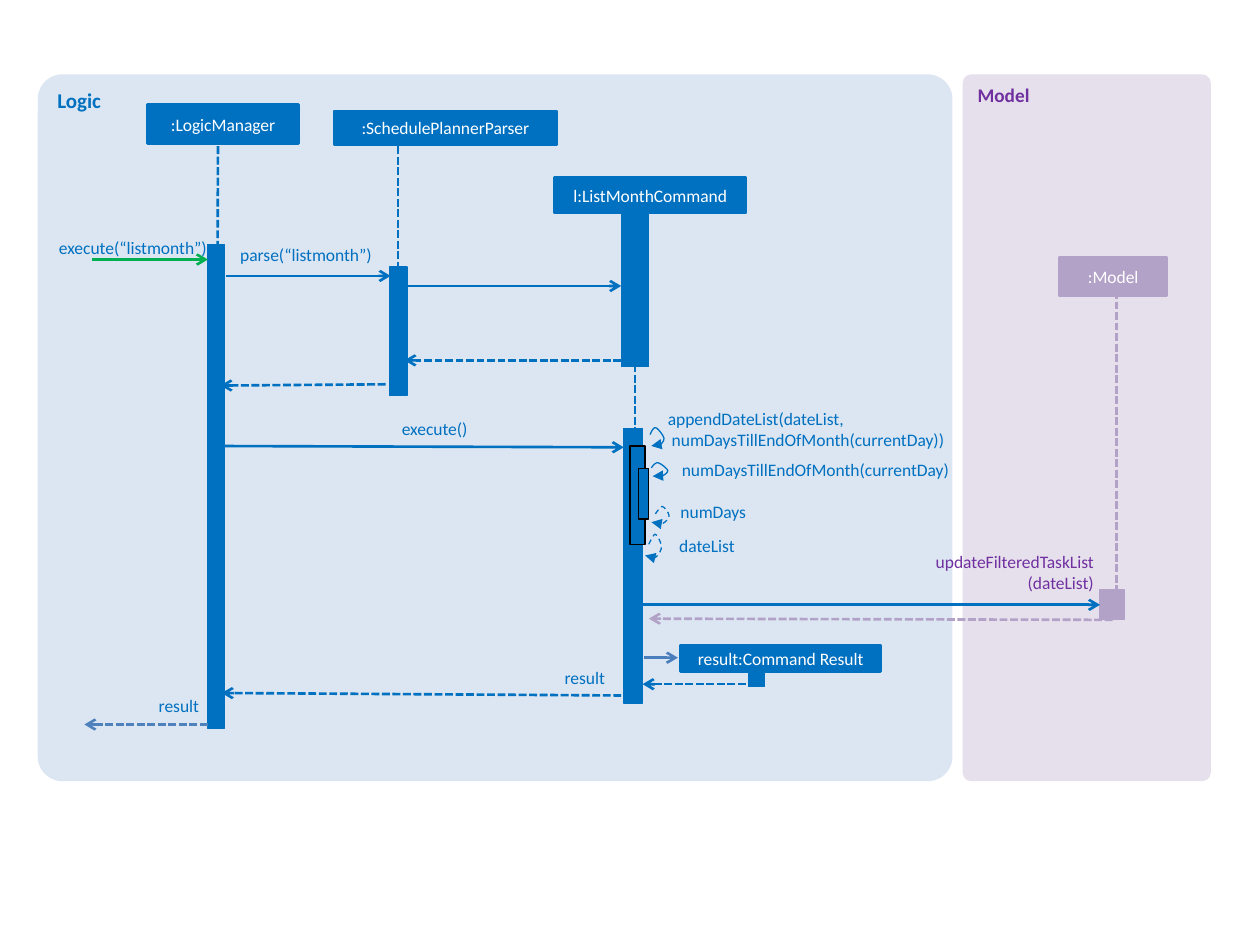
"""Builds the sequence diagram of the list-month command on a grid of 100 cells to the inch."""
import dataclasses
import typing

import lxml.etree
import pptx
import pptx.dml.color
import pptx.enum.dml
import pptx.enum.shapes
import pptx.enum.text
import pptx.oxml.ns
import pptx.util

ALIGN = pptx.enum.text.PP_ALIGN
ANCHOR = pptx.enum.text.MSO_ANCHOR
DASH = pptx.enum.dml.MSO_LINE
SHAPE = pptx.enum.shapes.MSO_SHAPE
Point = typing.Tuple[float, float]


@dataclasses.dataclass(frozen=True)
class Theme:
    font: str = "Calibri"
    blue: str = "0070C0"
    steel: str = "4F81BD"
    create: str = "4B7EBC"
    green: str = "00B050"
    purple: str = "7030A0"
    lilac: str = "B3A2C7"
    logic: str = "DCE6F2"
    model: str = "E6E0EC"
    white: str = "FFFFFF"
    black: str = "000000"
    text: float = 10
    model_title: float = 11
    logic_title: float = 12
    thin: float = 0.75
    thick: float = 1.5


THEME = Theme()


class Cell(typing.NamedTuple):
    column: float
    row: float
    columns: float
    rows: float


class Panel(typing.NamedTuple):
    title: str
    cell: Cell
    fill: str
    color: str
    size: float


class Head(typing.NamedTuple):
    name: str
    cell: Cell
    color: str = THEME.blue


class Bar(typing.NamedTuple):
    cell: Cell
    color: str = THEME.blue
    outline: str = THEME.blue


class Message(typing.NamedTuple):
    start: Point
    end: Point
    color: str = THEME.blue
    reply: bool = False


class Label(typing.NamedTuple):
    lines: typing.Tuple[str, ...]
    cell: Cell
    color: str = THEME.blue
    align: typing.Any = ALIGN.RIGHT


class Loop(typing.NamedTuple):
    cell: Cell
    reply: bool = False


PANELS = [
    Panel("Model", Cell(764, 59, 197, 561), THEME.model, THEME.purple, THEME.model_title),
    Panel("Logic", Cell(30, 59, 726, 561), THEME.logic, THEME.blue, THEME.logic_title),
]
LIFELINES = [
    Message((173, 116), (172, 418)),
    Message((316, 116), (316, 269)),
    Message((504, 289), (504, 528)),
    Message((886, 231), (886, 471), THEME.lilac),
]
HEADS = [
    Head(":LogicManager", Cell(117, 83, 120, 31)),
    Head(":SchedulePlannerParser", Cell(265, 88, 177, 27)),
    Head("l:ListMonthCommand", Cell(440, 141, 152, 28)),
    Head(":Model", Cell(841, 204, 85, 31), THEME.lilac),
    Head("result:Command Result", Cell(540, 512, 159, 21)),
]
BARS = [
    Bar(Cell(165, 194, 13, 384)),
    Bar(Cell(309, 212, 14, 102)),
    Bar(Cell(493, 168, 22, 123)),
    Bar(Cell(495, 340, 15, 218)),
    Bar(Cell(873, 468, 19, 24), THEME.lilac, THEME.lilac),
    Bar(Cell(594, 530, 13, 15)),
    Bar(Cell(500, 354, 12, 78), outline=THEME.black),
    Bar(Cell(507, 372, 8, 40), outline=THEME.black),
]
MESSAGES = [
    Message((73, 206), (165, 206), THEME.green),
    Message((179, 219), (310, 219)),
    Message((315, 227), (493, 227)),
    Message((493, 286), (321, 286), reply=True),
    Message((306, 305), (175, 306), reply=True),
    Message((172, 354), (495, 355)),
    Message((508, 480), (873, 480)),
    Message((883, 492), (515, 491), THEME.lilac, reply=True),
    Message((511, 522), (538, 522), THEME.create),
    Message((592, 543), (510, 543), reply=True),
    Message((493, 552), (176, 550), reply=True),
    Message((165, 575), (67, 575), THEME.steel, reply=True),
]
LABELS = [
    Label(("execute(“listmonth”)",), Cell(25, 188, 139, 17)),
    Label(("parse(“listmonth”)",), Cell(178, 194, 117, 17)),
    Label(("execute()",), Cell(301, 332, 70, 14)),
    Label(("appendDateList(dateList,", " numDaysTillEndOfMonth(currentDay))"),
          Cell(530, 324, 321, 37), align=ALIGN.LEFT),
    Label(("numDaysTillEndOfMonth(currentDay)",), Cell(537, 364, 216, 17)),
    Label(("numDays",), Cell(537, 398, 55, 20)),
    Label(("dateList",), Cell(534, 425, 49, 17)),
    Label(("updateFilteredTaskList", "(dateList)"), Cell(733, 437, 135, 34), THEME.purple),
    Label(("result",), Cell(429, 529, 51, 14)),
    Label(("result",), Cell(95, 552, 63, 14)),
]
LOOPS = [
    Loop(Cell(516, 339, 11, 15)),
    Loop(Cell(517, 367, 13, 11)),
    Loop(Cell(517, 402, 14, 14), reply=True),
    Loop(Cell(512, 424, 13, 19), reply=True),
]
CALL_CURVE = [(0, .4), (.1, .2), (.27, 0), (.4, .03), (.55, .05), (1, .47), (1, .6),
              (1, .8), (.73, .93), (.64, 1), (.45, 1.1), (.1, .97), (.08, 1)]
REPLY_CURVE = [(.23, .42), (.38, .2), (.54, 0), (.62, 0), (.77, .05), (1, .37), (1, .53),
               (1, .68), (.77, .95), (.54, 1), (.38, 1.05), (.08, .79), (0, .89)]


def grid(cells: float) -> int:
    """Turn grid cells into a length."""
    return pptx.util.Inches(cells / 100)


def place(cell: Cell) -> typing.List[int]:
    """Give the left, top, width and height of a cell."""
    return [grid(value) for value in cell]


def rgb(color: str) -> pptx.dml.color.RGBColor:
    """Read a colour."""
    return pptx.dml.color.RGBColor.from_string(color)


def apply(target: typing.Any, values: typing.Dict[str, typing.Any]) -> None:
    """Set each named attribute on the target."""
    for name, value in values.items():
        setattr(target, name, value)


def write(box, lines: typing.Sequence[str], color: str, size: float = THEME.text,
          bold: bool = False, align=ALIGN.LEFT, **frame) -> None:
    """Fill a box with one paragraph for each line."""
    apply(box.text_frame, {"word_wrap": True, **frame})
    for index, line in enumerate(lines):
        para = box.text_frame.add_paragraph() if index else box.text_frame.paragraphs[0]
        para.alignment = align
        span = para.add_run()
        span.text = line
        apply(span.font, {"name": THEME.font, "size": pptx.util.Pt(size), "bold": bold})
        span.font.color.rgb = rgb(color)


def stroke(shape, color: str, width: float, dash=None, arrow: str = "") -> None:
    """Draw the outline of a shape, with an arrowhead at its end if one is named."""
    shape.line.color.rgb = rgb(color)
    apply(shape.line, {"width": pptx.util.Pt(width), "dash_style": dash})
    if arrow:
        outline = shape.element.spPr.find(pptx.oxml.ns.qn("a:ln"))
        lxml.etree.SubElement(outline, pptx.oxml.ns.qn("a:tailEnd"), type=arrow)


def add_block(page, cell: Cell, fill: str, kind=SHAPE.RECTANGLE):
    """Add a filled shape without outline or shadow."""
    block = page.shapes.add_shape(kind, *place(cell))
    block.shadow.inherit = False
    block.fill.solid()
    block.fill.fore_color.rgb = rgb(fill)
    block.line.fill.background()
    return block


def add_panel(page, panel: Panel) -> None:
    """Add a component panel with its title."""
    block = add_block(page, panel.cell, panel.fill, SHAPE.ROUNDED_RECTANGLE)
    block.adjustments[0] = 0.035
    write(block, [panel.title], panel.color, panel.size, True, vertical_anchor=ANCHOR.TOP)


def add_head(page, head: Head) -> None:
    """Add the named box of a participant."""
    block = add_block(page, head.cell, head.color)
    stroke(block, head.color, THEME.thick)
    write(block, [head.name], THEME.white, align=ALIGN.CENTER, vertical_anchor=ANCHOR.MIDDLE)


def add_bar(page, bar: Bar) -> None:
    """Add an activation bar."""
    stroke(add_block(page, bar.cell, bar.color), bar.outline, THEME.thin)


def add_line(page, message: Message, dashed: bool, arrow: str = "") -> None:
    """Add a straight line from sender to receiver."""
    ends = [grid(value) for value in message.start + message.end]
    line = page.shapes.add_connector(pptx.enum.shapes.MSO_CONNECTOR.STRAIGHT, *ends)
    stroke(line, message.color, THEME.thick, DASH.SQUARE_DOT if dashed else None, arrow)
    lxml.etree.SubElement(line.element.spPr, pptx.oxml.ns.qn("a:effectLst"))


def add_label(page, label: Label) -> None:
    """Add a text label without margins."""
    margins = {f"margin_{side}": 0 for side in ("left", "top", "right", "bottom")}
    write(page.shapes.add_textbox(*place(label.cell)), label.lines, label.color,
          align=label.align, auto_size=pptx.enum.text.MSO_AUTO_SIZE.SHAPE_TO_FIT_TEXT, **margins)


def bezier(points: typing.Sequence[Point], steps: int = 6) -> typing.List[Point]:
    """Sample a chain of cubic curves."""
    samples = [points[0]]
    for first in range(0, len(points) - 1, 3):
        for step in range(1, steps + 1):
            t = step / steps
            weights = ((1 - t) ** 3, 3 * t * (1 - t) ** 2, 3 * t * t * (1 - t), t ** 3)
            samples.append(tuple(sum(weight * point[axis] for weight, point in
                                     zip(weights, points[first:first + 4])) for axis in (0, 1)))
    return samples


def add_loop(page, loop: Loop) -> None:
    """Add a curved self-call or its reply."""
    left, top, width, height = place(loop.cell)
    points = [(left + x * width, top + y * height)
              for x, y in bezier(REPLY_CURVE if loop.reply else CALL_CURVE)]
    builder = page.shapes.build_freeform(*points[0])
    builder.add_line_segments(points[1:], close=False)
    curve = builder.convert_to_shape()
    curve.shadow.inherit = False
    curve.fill.background()
    stroke(curve, THEME.blue, THEME.thin, DASH.DASH if loop.reply else None, "triangle")


def main() -> None:
    """Build and save the deck."""
    deck = pptx.Presentation()
    apply(deck, {"slide_width": grid(1000), "slide_height": grid(750)})
    page = deck.slides.add_slide(deck.slide_layouts[6])
    for panel in PANELS:
        add_panel(page, panel)
    for lifeline in LIFELINES:
        add_line(page, lifeline, dashed=True)
    for head in HEADS:
        add_head(page, head)
    for bar in BARS:
        add_bar(page, bar)
    for message in MESSAGES:
        add_line(page, message, message.reply, "arrow")
    for label in LABELS:
        add_label(page, label)
    for loop in LOOPS:
        add_loop(page, loop)
    deck.save("out.pptx")


if __name__ == "__main__":
    main()
